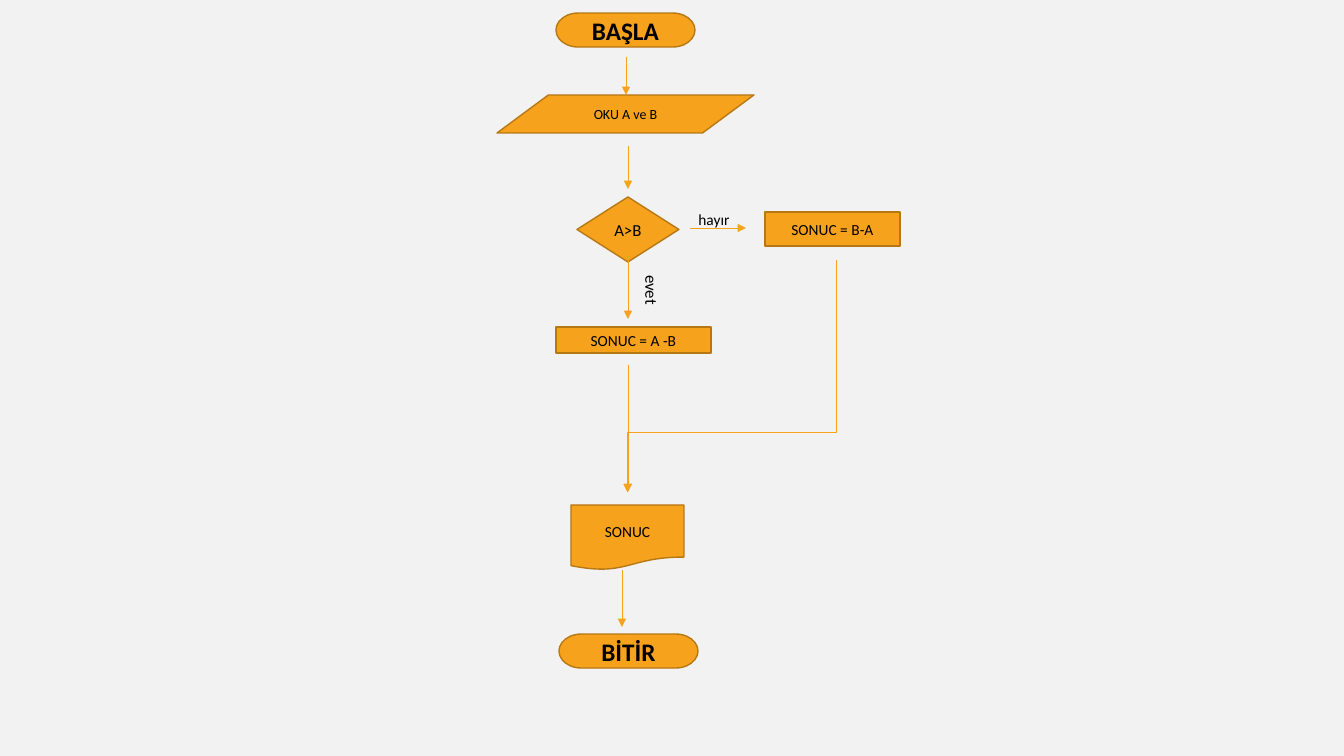
from lxml import etree
from pptx import Presentation
from pptx.dml.color import RGBColor
from pptx.enum.shapes import MSO_CONNECTOR, MSO_SHAPE
from pptx.enum.text import MSO_ANCHOR, MSO_AUTO_SIZE, PP_ALIGN
from pptx.oxml.ns import qn
from pptx.util import Emu, Pt

TERMINATOR = MSO_SHAPE.FLOWCHART_TERMINATOR
DATA = MSO_SHAPE.FLOWCHART_DATA
DECISION = MSO_SHAPE.FLOWCHART_DECISION
PROCESS = MSO_SHAPE.FLOWCHART_PROCESS
DOCUMENT = MSO_SHAPE.FLOWCHART_DOCUMENT
STRAIGHT = MSO_CONNECTOR.STRAIGHT
ELBOW = MSO_CONNECTOR.ELBOW
CENTER = PP_ALIGN.CENTER
MIDDLE = MSO_ANCHOR.MIDDLE
FIT_SHAPE = MSO_AUTO_SIZE.SHAPE_TO_FIT_TEXT

EMU_PER_PIXEL = 914400 / 100.8
BACKGROUND = "F2F2F2"
ORANGE = "F6A21D"
OUTLINE = "B67815"
BLACK = "000000"

NODES = [
    (TERMINATOR, (556, 13, 139, 34), "BAŞLA", 18, True),
    (DATA, (497, 95, 257, 38), "OKU A ve B", 10, False),
    (DECISION, (577, 197, 102, 65), "A>B", 12, False),
    (PROCESS, (556, 327, 155, 26), "SONUC = A -B", 11, False),
    (PROCESS, (765, 212, 135, 34), "SONUC = B-A", 11, False),
    (DOCUMENT, (571, 505, 113, 65), "SONUC", 11, False),
    (TERMINATOR, (559, 634, 139, 34), "BİTİR", 18, True),
]
BRANCH_LABELS = [
    ((624, 275, 56, 30), "evet", 12, 90),
    ((681, 205, 66, 29), "hayır", 11, 0),
]
ARROWS = [
    (626, 57, 626, 95),
    (628, 146, 628, 189),
    (690, 228, 746, 228),
    (628, 261, 628, 319),
    (628, 365, 628, 492),
    (622, 570, 622, 627),
]
MERGE_BOX = (616, 272, 848, 481)
MERGE_BEND = 0.74


def pixels(*values):
    return [Emu(round(value * EMU_PER_PIXEL)) for value in values]


def color(value):
    return RGBColor.from_string(value)


def apply_format(target, values):
    for name, value in values.items():
        setattr(target, name, value)


def write_text(shape, text, size, bold=False):
    shape.text_frame.word_wrap = True
    paragraph = shape.text_frame.paragraphs[0]
    paragraph.alignment = CENTER
    run = paragraph.add_run()
    run.text = text
    apply_format(run.font, {"name": "Calibri", "size": Pt(size), "bold": bold})
    run.font.color.rgb = color(BLACK)


def add_node(slide, kind, box, text, size, bold):
    shape = slide.shapes.add_shape(kind, *pixels(*box))
    shape.shadow.inherit = False
    shape.fill.solid()
    shape.fill.fore_color.rgb = color(ORANGE)
    shape.line.color.rgb = color(OUTLINE)
    shape.line.width = Pt(1)
    shape.text_frame.vertical_anchor = MIDDLE
    write_text(shape, text, size, bold)


def add_branch_label(slide, box, text, size, rotation):
    label = slide.shapes.add_textbox(*pixels(*box))
    label.rotation = rotation
    write_text(label, text, size)
    label.text_frame.auto_size = FIT_SHAPE


def add_arrow(slide, kind, ends):
    connector = slide.shapes.add_connector(kind, *pixels(*ends))
    connector.line.color.rgb = color(ORANGE)
    connector.line.width = Pt(0.5)
    line = connector.line._get_or_add_ln()
    etree.SubElement(line, qn("a:tailEnd"), type="triangle")
    etree.SubElement(connector._element.spPr, qn("a:effectLst"))
    return connector


def add_merge_arrow(slide):
    connector = add_arrow(slide, ELBOW, MERGE_BOX)
    properties = connector._element.spPr
    properties.find(qn("a:xfrm")).set("rot", str(90 * 60000))
    adjustments = properties.find(qn("a:prstGeom")).find(qn("a:avLst"))
    etree.SubElement(adjustments, qn("a:gd"), name="adj1",
                     fmla=f"val {round(MERGE_BEND * 100000)}")


def main():
    presentation = Presentation()
    width, height = pixels(1344, 756)
    apply_format(presentation, {"slide_width": width, "slide_height": height})
    slide = presentation.slides.add_slide(presentation.slide_layouts[6])
    slide.background.fill.solid()
    slide.background.fill.fore_color.rgb = color(BACKGROUND)
    for node in NODES:
        add_node(slide, *node)
    for label in BRANCH_LABELS:
        add_branch_label(slide, *label)
    for ends in ARROWS:
        add_arrow(slide, STRAIGHT, ends)
    add_merge_arrow(slide)
    presentation.save("out.pptx")


main()
